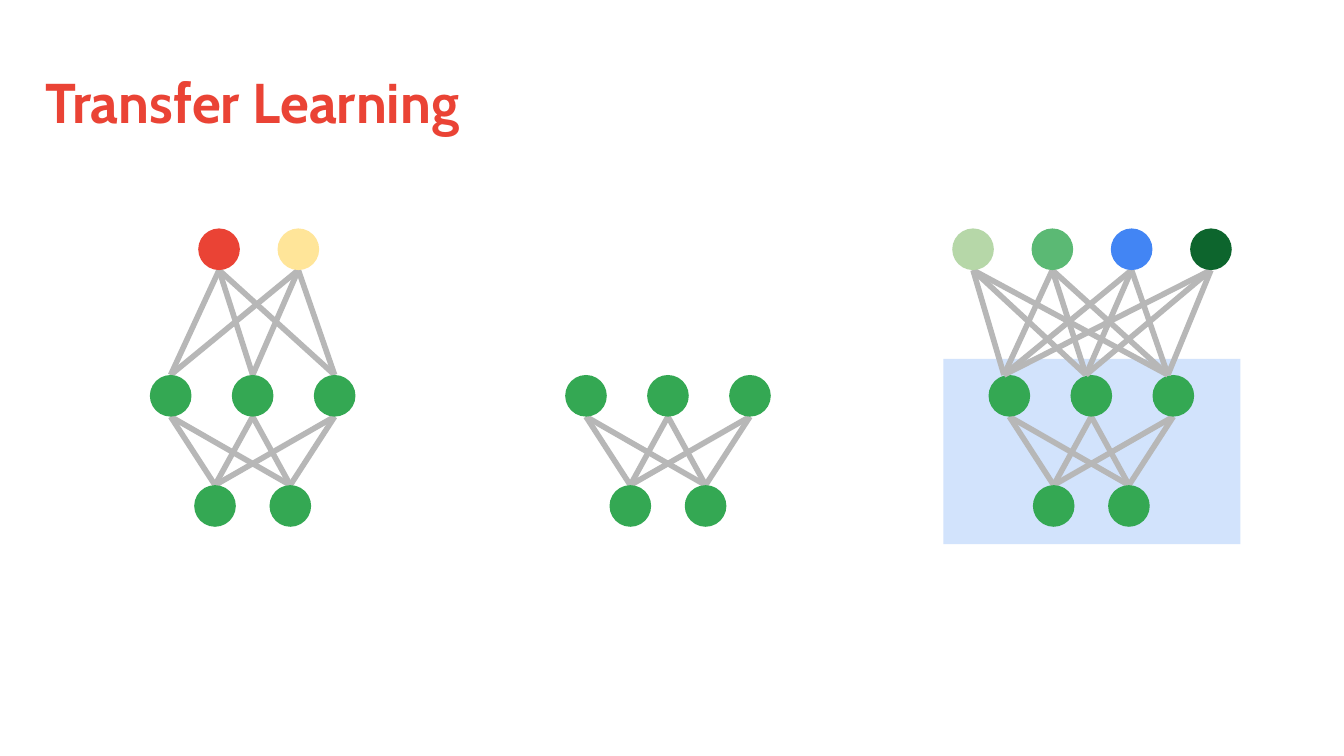
from itertools import product

from lxml.etree import SubElement
from pptx import Presentation
from pptx.dml.color import RGBColor
from pptx.enum.shapes import MSO_CONNECTOR, MSO_SHAPE
from pptx.oxml.ns import qn
from pptx.util import Inches, Pt

RED = RGBColor(0xEA, 0x43, 0x35)
YELLOW = RGBColor(0xFF, 0xE5, 0x99)
GREEN = RGBColor(0x34, 0xA8, 0x53)
PALE_GREEN = RGBColor(0xB6, 0xD7, 0xA8)
MID_GREEN = RGBColor(0x5B, 0xB9, 0x74)
DARK_GREEN = RGBColor(0x0D, 0x65, 0x2D)
BLUE = RGBColor(0x42, 0x85, 0xF4)
PALE_BLUE = RGBColor(0xD2, 0xE3, 0xFC)
GRAY = RGBColor(0xB7, 0xB7, 0xB7)

TITLE = "Transfer Learning"
TITLE_FORMAT = {"name": "Cabin", "size": Pt(30), "bold": True}

# Centre of the first hidden node in each network
SOURCE_X, SHARED_X, TARGET_X = 1.27, 4.36, 7.51
# First output centre, x of the first hidden end of its links, node colours
SOURCE_HEAD = (1.63, SOURCE_X, [RED, YELLOW])
TARGET_HEAD = (7.24, TARGET_X - 0.04, [PALE_GREEN, MID_GREEN, BLUE, DARK_GREEN])

NODE = 0.31
OUTPUT_TOP, HIDDEN_TOP, INPUT_TOP = 1.7, 2.79, 3.61
OUTPUT_GAP, HIDDEN_GAP, INPUT_GAP = 0.59, 0.61, 0.56
INPUT_OFFSET = 0.33


def centres(first, gap, count):
    return [first + gap * index for index in range(count)]


def add_filled(shapes, kind, box, color):
    shape = shapes.add_shape(kind, *(Inches(value) for value in box))
    shape.shadow.inherit = False
    shape.fill.solid()
    shape.fill.fore_color.rgb = color
    shape.line.fill.background()


def add_nodes(shapes, xs, top, colors):
    for x, color in zip(xs, colors):
        add_filled(shapes, MSO_SHAPE.OVAL, (x - NODE / 2, top, NODE, NODE), color)


def add_links(shapes, upper_xs, upper_y, lower_xs, lower_y):
    """Join every upper node to every lower node."""
    for upper_x, lower_x in product(upper_xs, lower_xs):
        ends = (upper_x, upper_y, lower_x, lower_y)
        link = shapes.add_connector(
            MSO_CONNECTOR.STRAIGHT, *(Inches(value) for value in ends))
        link.line.color.rgb = GRAY
        link.line.width = Pt(3)
        SubElement(link._element.spPr, qn("a:effectLst"))


def add_base(shapes, hidden_x):
    hidden = centres(hidden_x, HIDDEN_GAP, 3)
    inputs = centres(hidden_x + INPUT_OFFSET, INPUT_GAP, 2)
    add_links(shapes, hidden, HIDDEN_TOP + NODE, inputs, INPUT_TOP)
    add_nodes(shapes, inputs, INPUT_TOP, [GREEN] * 2)
    add_nodes(shapes, hidden, HIDDEN_TOP, [GREEN] * 3)


def add_head(slide, output_x, hidden_x, colors):
    shapes = slide.shapes.add_group_shape().shapes
    outputs = centres(output_x, OUTPUT_GAP, len(colors))
    hidden = centres(hidden_x, HIDDEN_GAP, 3)
    add_links(shapes, outputs, OUTPUT_TOP + NODE, hidden, HIDDEN_TOP)
    add_nodes(shapes, outputs, OUTPUT_TOP, colors)


def add_title(slide):
    box = slide.shapes.add_textbox(Inches(0.34), Inches(0.5), Inches(3.6), Inches(0.56))
    frame = box.text_frame
    frame.word_wrap = True
    for side in ("left", "top", "right", "bottom"):
        setattr(frame, f"margin_{side}", 0)
    paragraph = frame.paragraphs[0]
    paragraph.text = TITLE
    for name, value in TITLE_FORMAT.items():
        setattr(paragraph.font, name, value)
    paragraph.font.color.rgb = RED


def main():
    presentation = Presentation()
    presentation.slide_width = Inches(10)
    presentation.slide_height = Inches(10) * 9 // 16
    slide = presentation.slides.add_slide(presentation.slide_layouts[6])

    add_filled(slide.shapes, MSO_SHAPE.RECTANGLE, (7.02, 2.67, 2.21, 1.38), PALE_BLUE)
    add_title(slide)
    add_head(slide, *SOURCE_HEAD)
    for hidden_x in (SOURCE_X, SHARED_X, TARGET_X):
        add_base(slide.shapes, hidden_x)
    add_head(slide, *TARGET_HEAD)

    presentation.save("out.pptx")


if __name__ == "__main__":
    main()
